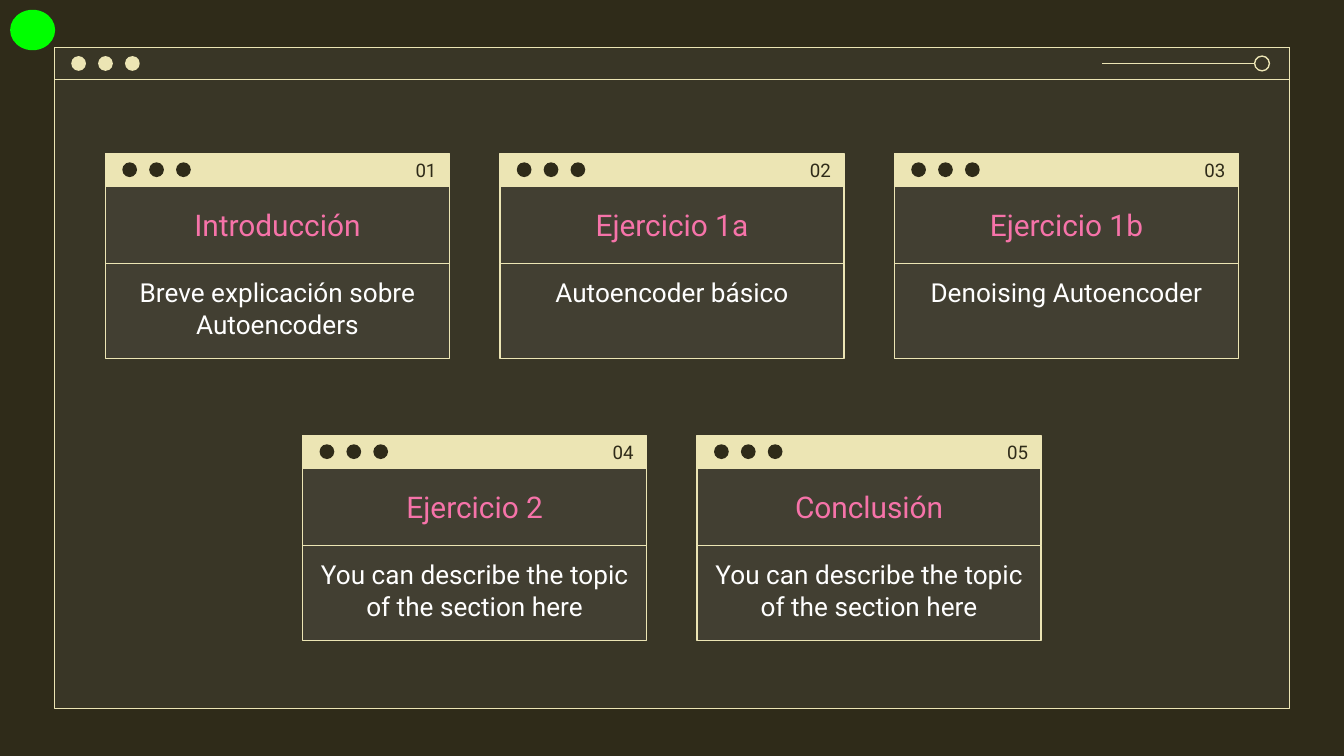
from typing import NamedTuple

from lxml.etree import SubElement
from pptx import Presentation
from pptx.dml.color import RGBColor
from pptx.enum.shapes import MSO_CONNECTOR, MSO_SHAPE
from pptx.enum.text import MSO_ANCHOR, PP_ALIGN
from pptx.oxml.ns import qn
from pptx.util import Inches, Pt

WIDTH = 10
HEIGHT = WIDTH * 9 / 16
COLORS = {
    "background": "2F2B19",
    "cream": "ECE5B4",
    "panel": "7C7C7C",
    "pink": "F673A9",
    "white": "FFFFFF",
    "green": "00FF00",
}
FONT = "Roboto"

# Columns and rows are hundredths of the slide's width and height.
BAR_ROWS, TITLE_ROWS, BODY_ROWS = 4.3, 10.25, 12.6
CARD_ROWS = BAR_ROWS + TITLE_ROWS + BODY_ROWS
CARD_COLS, CARD_GAP = 25.6, 3.75
FIRST_ROW, ROW_PITCH = 20.3, 37.3
DOT_COLS, DOT_PITCH, DOT_MARGIN = 1.1, 2, 1.25
DOT_ROWS = DOT_COLS * WIDTH / HEIGHT
NUMBER_COLS = 13.9

CARD_TEXTS = [
    [
        ("Introducción", "Breve explicación sobre Autoencoders"),
        ("Ejercicio 1a", "Autoencoder básico"),
        ("Ejercicio 1b", "Denoising Autoencoder"),
    ],
    [
        ("Ejercicio 2", "You can describe the topic of the section here"),
        ("Conclusión", "You can describe the topic of the section here"),
    ],
]


class Box(NamedTuple):
    col: float
    row: float
    cols: float
    rows: float


def col(count):
    return Inches(WIDTH * count / 100)


def row(count):
    return Inches(HEIGHT * count / 100)


def rgb(name):
    return RGBColor.from_string(COLORS[name])


def add_figure(slide, box, fill=None, line=None, kind=MSO_SHAPE.RECTANGLE):
    figure = slide.shapes.add_shape(
        kind, col(box.col), row(box.row), col(box.cols), row(box.rows))
    figure.shadow.inherit = False
    if fill:
        figure.fill.solid()
        figure.fill.fore_color.rgb = rgb(fill)
    else:
        figure.fill.background()
    if line:
        figure.line.color.rgb = rgb(line)
        figure.line.width = Pt(0.75)
    else:
        figure.line.fill.background()
    return figure


def add_panel(slide, box):
    """Place a grey rectangle that is 14 % opaque."""
    panel = add_figure(slide, box, fill="panel")
    color = panel.fill._xPr.find(qn("a:solidFill"))[0]
    SubElement(color, qn("a:alpha"), val="14000")


def write(figure, text, size, color, align=PP_ALIGN.CENTER, anchor=MSO_ANCHOR.MIDDLE):
    frame = figure.text_frame
    frame.word_wrap = True
    frame.vertical_anchor = anchor
    frame.margin_left = frame.margin_right = Inches(0.1)
    frame.margin_top = frame.margin_bottom = Inches(0.1)
    frame.text = text
    paragraph = frame.paragraphs[0]
    paragraph.alignment = align
    font = paragraph.runs[0].font
    font.name, font.size, font.color.rgb = FONT, Pt(size), rgb(color)


def dot_row(box):
    """Return the row that centres a dot in the bar at the top of the box."""
    return box.row + (BAR_ROWS - DOT_ROWS) / 2


def add_bar(slide, box, fill, dots):
    """Place the bar with three dots along the top of the box."""
    add_figure(slide, box._replace(rows=BAR_ROWS), fill, "cream")
    for index in range(3):
        dot = Box(box.col + DOT_MARGIN + index * DOT_PITCH, dot_row(box),
                  DOT_COLS, DOT_ROWS)
        add_figure(slide, dot, dots, kind=MSO_SHAPE.OVAL)


def add_window(slide, box):
    add_panel(slide, box)
    add_figure(slide, box, line="cream")
    add_bar(slide, box, None, "cream")

    knob = Box(box.col + box.cols - 2.6, dot_row(box), DOT_COLS, DOT_ROWS)
    add_figure(slide, knob, line="cream", kind=MSO_SHAPE.OVAL)
    middle = row(box.row + BAR_ROWS / 2)
    slider = slide.shapes.add_connector(
        MSO_CONNECTOR.STRAIGHT, col(knob.col - 11.35), middle, col(knob.col), middle)
    slider.line.color.rgb = rgb("cream")
    slider.line.width = Pt(0.75)
    SubElement(slider._element.spPr, qn("a:effectLst"))


def add_card(slide, box, number, title, description):
    add_panel(slide, box)
    add_bar(slide, box, "cream", "background")

    title_box = box._replace(row=box.row + BAR_ROWS, rows=TITLE_ROWS)
    write(add_figure(slide, title_box, line="cream"), title, 16, "pink")

    body_box = box._replace(row=title_box.row + TITLE_ROWS, rows=BODY_ROWS)
    write(add_figure(slide, body_box, line="cream"), description, 14, "white",
          anchor=MSO_ANCHOR.TOP)

    number_label = slide.shapes.add_textbox(
        col(box.col + box.cols - NUMBER_COLS), row(box.row),
        col(NUMBER_COLS), row(BAR_ROWS))
    write(number_label, f"{number:02}", 10, "background", PP_ALIGN.RIGHT)


def add_cards(slide, box):
    """Place the rows of cards, each row centred across the box."""
    number = 0
    for line, cards in enumerate(CARD_TEXTS):
        line_cols = len(cards) * (CARD_COLS + CARD_GAP) - CARD_GAP
        left = box.col + (box.cols - line_cols) / 2
        for place, (title, description) in enumerate(cards):
            number += 1
            card = Box(left + place * (CARD_COLS + CARD_GAP),
                       box.row + line * ROW_PITCH, CARD_COLS, CARD_ROWS)
            add_card(slide, card, number, title, description)


def main():
    presentation = Presentation()
    presentation.slide_width = Inches(WIDTH)
    presentation.slide_height = Inches(HEIGHT)
    slide = presentation.slides.add_slide(presentation.slide_layouts[6])
    slide.background.fill.solid()
    slide.background.fill.fore_color.rgb = rgb("background")

    add_window(slide, Box(4.05, 6.25, 91.9, 87.5))
    add_cards(slide, Box(0, FIRST_ROW, 100, ROW_PITCH + CARD_ROWS))
    add_figure(slide, Box(0.75, 1.3, 3.35, 5.35), "green", kind=MSO_SHAPE.OVAL)
    presentation.save("out.pptx")


if __name__ == "__main__":
    main()
